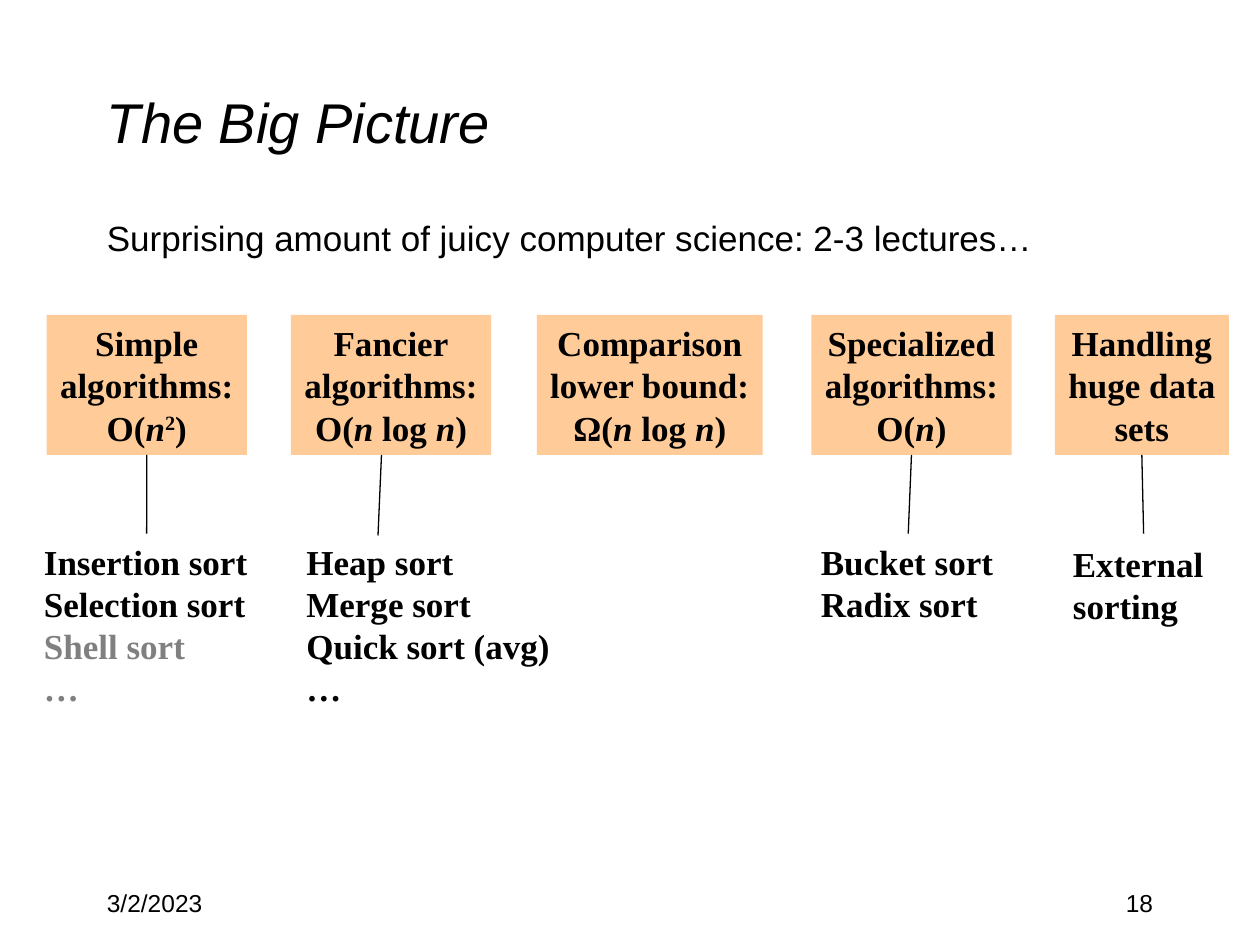
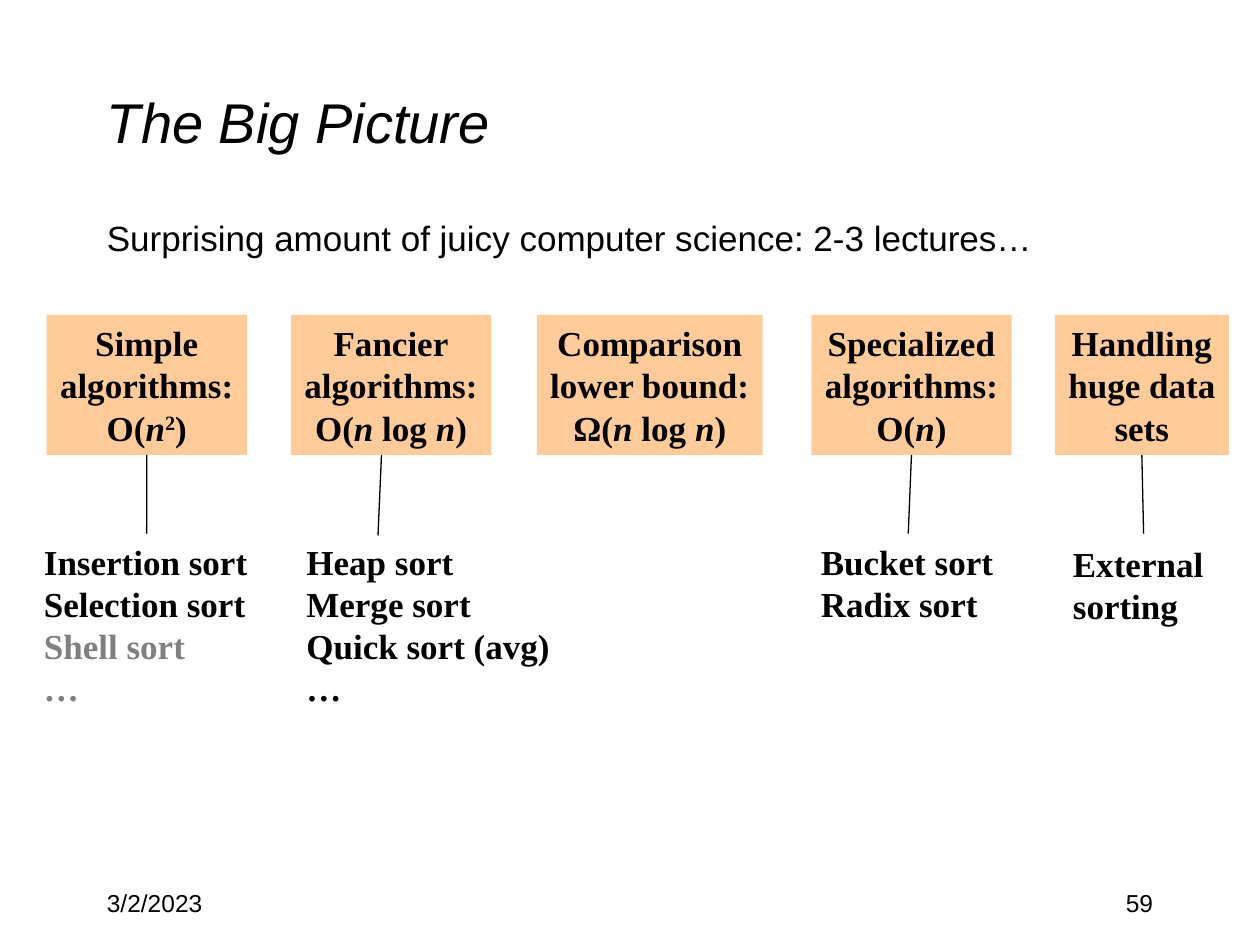
from pptx import Presentation, util as u
from pptx.dml.color import RGBColor
from pptx.enum import shapes, text
from pptx.oxml.ns import qn
from lxml import etree

Pt = u.Pt
BLACK, GREY, PEACH = "000000", "808080", "FFCC99"
LEFT, CENTER, RIGHT = text.PP_ALIGN.LEFT, text.PP_ALIGN.CENTER, text.PP_ALIGN.RIGHT

TITLE = {"name": "Arial", "size": Pt(32), "italic": True}
LEAD = {"name": "Arial", "size": Pt(20)}
FOOT = {"name": "Arial", "size": Pt(14)}
LABEL = {"name": "Times New Roman", "size": Pt(20), "bold": True}

TOP, HIGH = 180, 80
# Left, width and lines of each topic; "|" parts the runs of a line
TOPICS = [
    (26.6, 114.5, ["Simple", "algorithms:", "O(|n|2|)"]),
    (166.2, 114.5, ["Fancier", "algorithms:", "O(|n| log |n|)"]),
    (306.8, 129, ["Comparison", "lower bound:", "Ω(|n| log |n|)"]),
    (463.6, 114.5, ["Specialized", "algorithms:", "O(|n|)"]),
    (602.8, 99.4, ["Handling", "huge data", "sets"]),
]
# Left, top, width, lines, number of black lines
SORTS = [
    (18, 305.2, 132, ["Insertion sort", "Selection sort", "Shell sort", "…"], 2),
    (168, 305.2, 155, ["Heap sort", "Merge sort", "Quick sort (avg)", "…"], 4),
    (462, 305.2, 114, ["Bucket sort", "Radix sort"], 2),
    (606, 306.2, 90, ["External", "sorting"], 2),
]
# Topic index, start x, end x, end y; a start of None is the middle of the box
LINKS = [(0, None, 83.8, 305), (1, 218, 216, 306),
         (3, None, 519, 305), (4, None, 653.5, 305)]


def color(code):
    return RGBColor.from_string(code)


class Deck:
    def __init__(self):
        self.prs = Presentation()
        self.prs.slide_width, self.prs.slide_height = Pt(720), Pt(540)
        self.slide = None

    def page(self, num):
        """Start a slide with the shared title, lead line and footer."""
        self.slide = self.prs.slides.add_slide(self.prs.slide_layouts[6])
        title = self.label(54, 24, 612, 90, ["The Big Picture"], TITLE)
        title.text_frame.vertical_anchor = text.MSO_ANCHOR.MIDDLE
        lead = self.label(54, 120, 612, 36, [
            "Surprising amount of juicy computer science: 2-3 lectures…"], LEAD)
        lead.text_frame.paragraphs[0].space_before = Pt(4)
        self.label(54, 504, 150, 36, ["3/2/2023"], FOOT)
        self.label(516, 504, 150, 36, [str(num)], FOOT, RIGHT)

    def set_text(self, shape, lines, style, align=LEFT, wrap=True, dark=None):
        """Put lines in a shape; those after the first `dark` are grey."""
        frame = shape.text_frame
        frame.word_wrap = wrap
        if not wrap:
            frame.auto_size = text.MSO_AUTO_SIZE.SHAPE_TO_FIT_TEXT
        for i, line in enumerate(lines):
            para = frame.paragraphs[0] if i == 0 else frame.add_paragraph()
            para.alignment = align
            for part in line.split("|"):
                run = para.add_run()
                run.text = part
                for key, val in style.items():
                    setattr(run.font, key, val)
                grey = dark is not None and i >= dark
                run.font.color.rgb = color(GREY if grey else BLACK)
                if part == "n":
                    run.font.italic = True
                elif part == "2":
                    run._r.get_or_add_rPr().set("baseline", "30000")

    def label(self, x, y, w, h, lines, style, align=LEFT, **opts):
        box = self.slide.shapes.add_textbox(Pt(x), Pt(y), Pt(w), Pt(h))
        self.set_text(box, lines, style, align, **opts)
        return box

    def topic(self, x, w, lines):
        box = self.slide.shapes.add_shape(
            shapes.MSO_SHAPE.RECTANGLE, Pt(x), Pt(TOP), Pt(w), Pt(HIGH))
        box.shadow.inherit = False
        box.fill.solid()
        box.fill.fore_color.rgb = color(PEACH)
        box.line.fill.background()
        self.set_text(box, lines, LABEL, CENTER, wrap=False)
        return box

    def link(self, box, start, end, low):
        line = self.slide.shapes.add_connector(
            shapes.MSO_CONNECTOR.STRAIGHT, Pt(start or end), Pt(TOP + HIGH),
            Pt(end), Pt(low))
        if start is None:
            line.begin_connect(box, 2)
        line.line.color.rgb = color(BLACK)
        line.line.width = Pt(0.75)
        etree.SubElement(line._element.spPr, qn("a:effectLst"))


def main():
    deck = Deck()
    for num in (18, 59):
        deck.page(num)
        boxes = [deck.topic(*topic) for topic in TOPICS]
        for x, y, w, lines, dark in SORTS:
            deck.label(x, y, w, 24 * len(lines) + 7.2, lines, LABEL,
                       wrap=False, dark=dark)
        for i, start, end, low in LINKS:
            deck.link(boxes[i], start, end, low)
    deck.prs.save("out.pptx")


if __name__ == "__main__":
    main()
